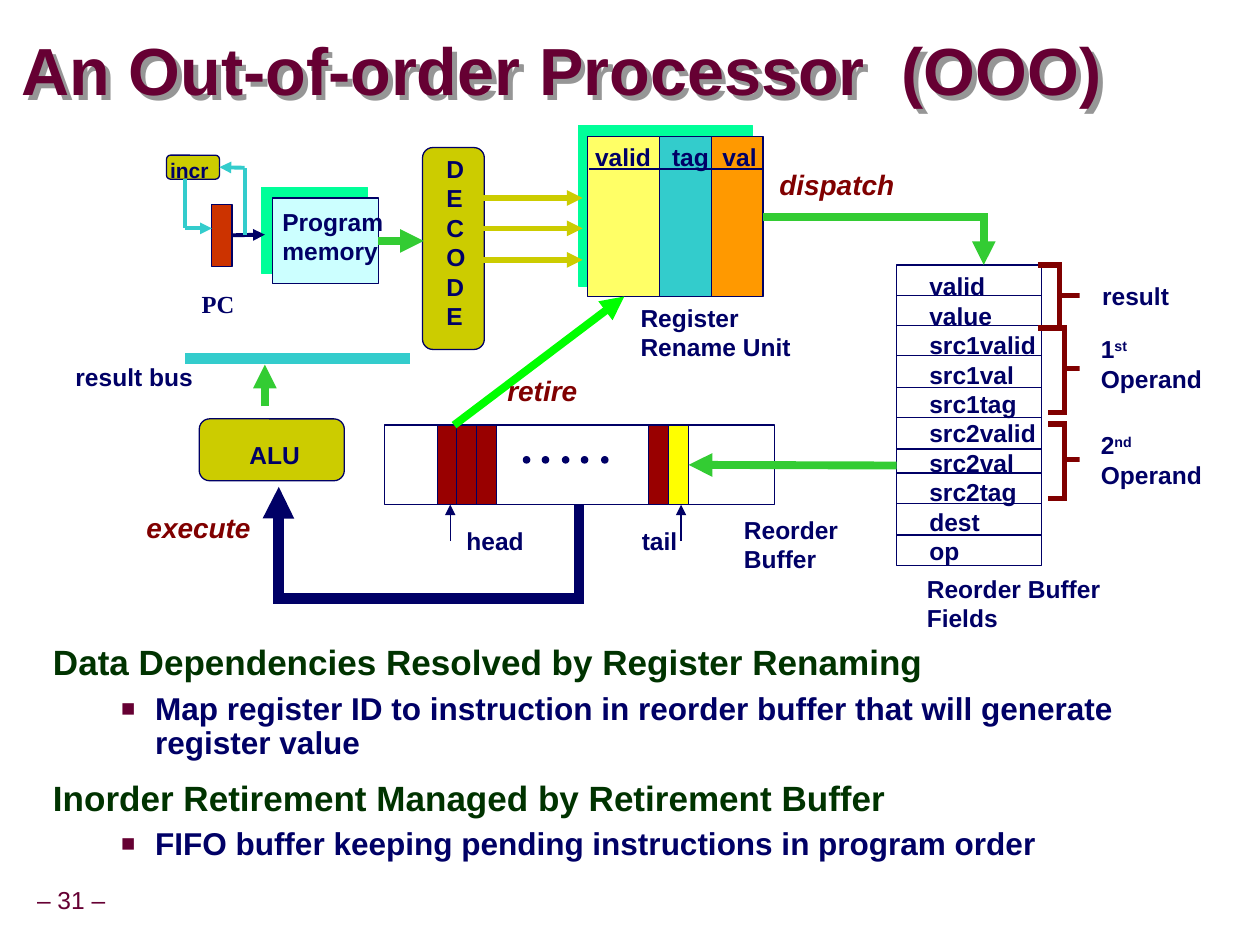
from dataclasses import dataclass

from lxml import etree
from pptx import Presentation
from pptx.dml.color import RGBColor
from pptx.enum.shapes import MSO_CONNECTOR, MSO_SHAPE
from pptx.enum.text import MSO_ANCHOR, MSO_AUTO_SIZE, PP_ALIGN
from pptx.oxml.ns import qn
from pptx.util import Pt

PX = 9144
RECT, ROUND, OVAL = MSO_SHAPE.RECTANGLE, MSO_SHAPE.ROUNDED_RECTANGLE, MSO_SHAPE.OVAL
STRAIGHT, ELBOW = MSO_CONNECTOR.STRAIGHT, MSO_CONNECTOR.ELBOW
LEFT, CENTER = PP_ALIGN.LEFT, PP_ALIGN.CENTER
TOP, MIDDLE = MSO_ANCHOR.TOP, MSO_ANCHOR.MIDDLE
FIT, FIXED = MSO_AUTO_SIZE.SHAPE_TO_FIT_TEXT, MSO_AUTO_SIZE.NONE


@dataclass(frozen=True)
class Theme:
    navy: str = "000066"
    plum: str = "660033"
    forest: str = "003300"
    maroon: str = "800000"
    brick: str = "990000"
    rust: str = "CC3300"
    olive: str = "CCCC00"
    teal: str = "33CCCC"
    green: str = "33CC33"
    lime: str = "00FF00"
    mint: str = "00FF99"
    ice: str = "CCFFFF"
    lemon: str = "FFFF66"
    yellow: str = "FFFF00"
    orange: str = "FF9900"
    grey: str = "969696"
    sans: str = "Arial"
    serif: str = "Times New Roman"
    title: int = 38
    heading: int = 20
    item: int = 18
    stage: int = 16
    label: int = 14
    small: int = 12
    hairline: float = 0.75


THEME = Theme()

TITLE = "An Out-of-order Processor  (OOO)"
BODY = [
    (0, "Data Dependencies Resolved by Register Renaming"),
    (1, "Map register ID to instruction in reorder buffer that will generate register value"),
    (0, "Inorder Retirement Managed by Retirement Buffer"),
    (1, "FIFO buffer keeping pending instructions in program order"),
]
LEVELS = [
    {"size": THEME.heading, "color": THEME.forest, "spacing": 0.85, "before": 12.5,
     "margin": 42, "indent": -42},
    {"size": THEME.item, "color": THEME.navy, "spacing": 0.9, "before": 5.6,
     "margin": 81, "indent": -27},
]

BLOCKS = {
    "rename values": (RECT, 467, 108, 138, 127, THEME.orange),
    "rename tags": (RECT, 523, 108, 41, 127, THEME.teal),
    "rename valid": (RECT, 466, 108, 57, 127, THEME.lemon),
    "decode": (ROUND, 335, 117, 49, 160, THEME.olive),
    "program memory": (RECT, 216, 157, 84, 68, THEME.ice),
    "reorder buffer": (RECT, 305, 337, 309, 63, None),
    "ALU": (ROUND, 158, 332, 115, 49, THEME.olive),
    "PC": (RECT, 168, 162, 16, 49, THEME.rust),
    "increment": (ROUND, 132, 123, 42, 19, THEME.olive),
    "fields": (RECT, 711, 210, 115, 238, None),
}
CASTING_SHADOW = ("rename values", "program memory")
HEAD_CELLS = [(f"head cell {i}", 347 + 31 * i // 2, THEME.brick) for i in range(3)]
TAIL_CELLS = [("tail cell", 514, THEME.brick), ("free cell", 530, THEME.yellow)]
DOT_LEFTS = [415 + 31 * i // 2 for i in range(5)]
FIELD_RULES = [234, 258, 282, 307, 331, 356, 375, 399, 424]

LINES = [
    (357, 429, 357, 400, THEME.navy, 0.75, True, None, None),
    (540, 429, 540, 400, THEME.navy, 0.75, True, None, None),
    (147, 284, 325, 284, THEME.teal, 6, False, None, None),
    (210, 322, 210, 289, THEME.green, 4.5, True, None, None),
    (184, 186, 210, 186, THEME.navy, 2.25, True, ("PC", 3), None),
    (194, 186, 194, 133, THEME.teal, 2.25, False, None, None),
    (194, 133, 174, 133, THEME.teal, 2.25, True, None, ("increment", 3)),
    (147, 142, 147, 181, THEME.teal, 2.25, False, None, None),
    (147, 181, 168, 181, THEME.teal, 2.25, True, None, None),
    (300, 191, 336, 191, THEME.green, 4.5, True, ("program memory", 3), None),
    (711, 369, 546, 369, THEME.green, 4.5, True, None, ("free cell", 3)),
    (360, 337, 495, 235, THEME.lime, 4.5, True, None, None),
    (467, 134, 606, 134, THEME.navy, 0.75, False, None, None),
]
LINES += [(383, y, 462, y, THEME.olive, 3, True, None, None) for y in (157, 181, 206)]
LINES += [(711, y, 826, y, THEME.navy, 0.75, False, None, None) for y in FIELD_RULES]

BRACKETS = [(823, 840, 210, 234, 260), (831, 844, 260, 292, 327), (831, 844, 336, 364, 395)]
BRACKET_TIP = 856

LABELS = [
    (725, 450, 158, 57, ["Reorder Buffer", "Fields"]),
    (214, 159, 100, 57, ["Program", "memory"]),
    (580, 403, 100, 57, ["Reorder", "Buffer"]),
    (727, 210, 106, 267, ["valid", "value", "src1valid", "src1val", "src1tag",
                          "src2valid", "src2val", "src2tag", "dest", "op"]),
    (50, 282, 113, 33, ["result bus"]),
    (344, 117, 34, 151, list("DECODE")),
    (498, 235, 139, 57, ["Register", "Rename Unit"]),
    (462, 108, 70, 33, ["valid"]),
    (523, 108, 52, 33, ["tag"]),
    (563, 108, 52, 33, ["val"]),
    (188, 344, 60, 33, ["ALU"]),
    (360, 412, 66, 33, ["head"]),
    (499, 412, 48, 33, ["tail"]),
    (864, 218, 73, 33, ["result"]),
    (863, 260, 100, 57, [("1", "st"), "Operand"]),
    (863, 336, 100, 57, [("2", "nd"), "Operand"]),
]
STAGES = [(608, 131, 111, 34, ["dispatch"]), (392, 294, 76, 34, ["retire"]),
          (106, 403, 109, 34, ["execute "])]

LABEL_STYLE = {"size": THEME.label, "color": THEME.navy, "bold": True}
STAGE_STYLE = {"size": THEME.stage, "color": THEME.maroon, "bold": True, "italic": True,
               "spacing": 0.9, "align": CENTER}


def child(parent, tag, **attributes):
    return etree.SubElement(parent, qn(tag), attributes)


def set_all(target, values):
    for name, value in values.items():
        setattr(target, name, value)


def place(shape, left, top, width, height):
    set_all(shape, {"left": left * PX, "top": top * PX,
                    "width": width * PX, "height": height * PX})


def cast_shadow(shape, color, points, degrees):
    shape.shadow.inherit = False
    effects = shape._element.spPr.find(qn("a:effectLst"))
    shadow = child(effects, "a:outerShdw", dist=str(Pt(points)), dir=str(degrees * 60000),
                   algn="ctr", rotWithShape="0")
    child(shadow, "a:srgbClr", val=color)


def write(paragraph, parts, size, color, bold=False, italic=False, font=THEME.sans,
          spacing=1.0, before=0, align=LEFT):
    set_all(paragraph, {"line_spacing": spacing, "space_before": Pt(before), "alignment": align})
    for index, text in enumerate([parts] if isinstance(parts, str) else parts):
        run = paragraph.add_run()
        run.text = text
        set_all(run.font, {"size": Pt(size), "bold": bold, "italic": italic, "name": font})
        run.font.color.rgb = RGBColor.from_string(color)
        if index:
            run._r.get_or_add_rPr().set("baseline", "30000")


def add_label(slide, box, lines, anchor=TOP, **style):
    frame = slide.shapes.add_textbox(*(value * PX for value in box)).text_frame
    set_all(frame, {"word_wrap": False, "auto_size": FIT, "vertical_anchor": anchor})
    for index, parts in enumerate(lines):
        write(frame.add_paragraph() if index else frame.paragraphs[0], parts, **style)


def outline(shape, color, width):
    shape.shadow.inherit = False
    shape.line.color.rgb = RGBColor.from_string(color)
    shape.line.width = Pt(width)


def add_block(slide, kind, left, top, width, height, fill):
    shape = slide.shapes.add_shape(kind, left * PX, top * PX, width * PX, height * PX)
    outline(shape, THEME.navy, THEME.hairline)
    if fill:
        shape.fill.solid()
        shape.fill.fore_color.rgb = RGBColor.from_string(fill)
    else:
        shape.fill.background()
    return shape


def add_line(slide, ends, color, width, arrow, kind=STRAIGHT):
    line = slide.shapes.add_connector(kind, *(value * PX for value in ends))
    line.line.color.rgb = RGBColor.from_string(color)
    line.line.width = Pt(width)
    stroke = line.line._get_or_add_ln()
    child(stroke, "a:miter", lim="800000")
    if arrow:
        child(stroke, "a:tailEnd", type="triangle")
    child(line._element.spPr, "a:effectLst")
    return line


def add_elbow(slide, ends, color, width, preset, adjustments=(), quarter_turns=0):
    line = add_line(slide, ends, color, width, True, ELBOW)
    properties = line._element.spPr
    properties.find(qn("a:xfrm")).set("rot", str(quarter_turns * 5400000))
    geometry = properties.find(qn("a:prstGeom"))
    geometry.set("prst", preset)
    guides = geometry.find(qn("a:avLst"))
    for number, value in enumerate(adjustments, 1):
        child(guides, "a:gd", name=f"adj{number}", fmla=f"val {value}")


def add_bracket(slide, left, spine, top, middle, bottom):
    builder = slide.shapes.build_freeform(left, top, scale=PX)
    builder.add_line_segments([(spine, top), (spine, middle), (BRACKET_TIP, middle),
                               (spine, middle), (spine, bottom), (left, bottom)], close=False)
    shape = builder.convert_to_shape()
    shape.fill.background()
    outline(shape, THEME.maroon, 3)
    child(shape.line._get_or_add_ln(), "a:miter", lim="800000")


def fill_placeholders(slide):
    title, body = slide.shapes.title, slide.placeholders[1]
    place(title, 17, 17, 952, 85)
    set_all(title.text_frame, {"vertical_anchor": MIDDLE, "auto_size": FIXED, "margin_left": 0,
                               "margin_right": 0, "margin_top": 0, "margin_bottom": 0})
    write(title.text_frame.paragraphs[0], TITLE, THEME.title, THEME.plum, True, spacing=0.87)
    cast_shadow(title, THEME.grey, 4, 45)
    place(body, 32, 508, 907, 215)
    body.text_frame.auto_size = FIXED
    for index, (level, text) in enumerate(BODY):
        paragraph = body.text_frame.add_paragraph() if index else body.text_frame.paragraphs[0]
        paragraph.level = level
        style = dict(LEVELS[level])
        properties = paragraph._p.get_or_add_pPr()
        properties.set("marL", str(style.pop("margin") * PX))
        properties.set("indent", str(style.pop("indent") * PX))
        write(paragraph, text, bold=True, **style)
        if level:
            child(child(properties, "a:buClr"), "a:srgbClr", val=THEME.plum)
            child(properties, "a:buSzPct", val="75000")
            child(properties, "a:buFont", typeface=THEME.sans)
            child(properties, "a:buChar", char="■")
        else:
            child(properties, "a:buNone")


def main():
    presentation = Presentation()
    set_all(presentation, {"slide_width": 999 * PX, "slide_height": 749 * PX})
    slide = presentation.slides.add_slide(presentation.slide_layouts[1])
    fill_placeholders(slide)

    blocks = {name: add_block(slide, *block) for name, block in BLOCKS.items()}
    for name in CASTING_SHADOW:
        cast_shadow(blocks[name], THEME.mint, 8.5, 225)
    for name, left, fill in HEAD_CELLS + TAIL_CELLS:
        blocks[name] = add_block(slide, RECT, left, 337, 16, 63, fill)
    for left in DOT_LEFTS:
        add_block(slide, OVAL, left, 362, 5, 5, THEME.navy)

    for *ends, color, width, arrow, start, finish in LINES:
        line = add_line(slide, ends, color, width, arrow)
        if start:
            line.begin_connect(blocks[start[0]], start[1])
        if finish:
            line.end_connect(blocks[finish[0]], finish[1])
    add_elbow(slide, (605, 172, 780, 210), THEME.green, 4.5, "bentConnector2")
    add_elbow(slide, (333, 512, 347, 274), THEME.navy, 6, "bentConnector4", (-531600, 100100), 3)
    for bracket in BRACKETS:
        add_bracket(slide, *bracket)

    for *box, lines in LABELS:
        add_label(slide, box, lines, **LABEL_STYLE)
    for *box, lines in STAGES:
        add_label(slide, box, lines, **STAGE_STYLE)
    add_label(slide, (150, 224, 46, 33), ["PC"], **LABEL_STYLE | {"font": THEME.serif})
    add_label(slide, (125, 120, 51, 30), ["incr"], **LABEL_STYLE | {"size": THEME.small})
    add_label(slide, (-9, 699, 131, 31), ["– 31 –"], MIDDLE, size=THEME.label,
              color=THEME.plum, spacing=0.9, align=CENTER)
    presentation.save("out.pptx")


if __name__ == "__main__":
    main()
